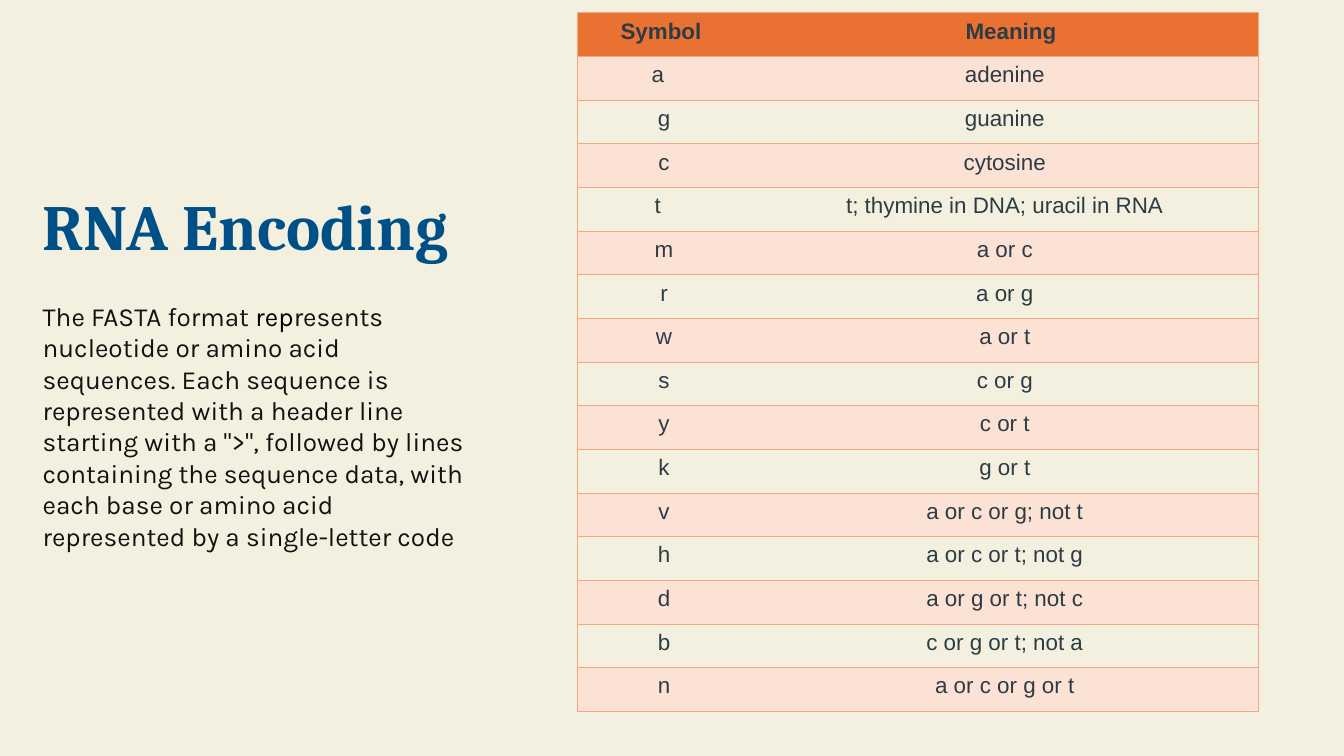
from typing import NamedTuple

from lxml import etree
from pptx import Presentation
from pptx import util as u
from pptx.dml.color import RGBColor
from pptx.enum import text
from pptx.oxml import ns

CREAM = RGBColor(0xF3, 0xF0, 0xDF)
BLUE = RGBColor(0x00, 0x50, 0x88)
INK = RGBColor(0x12, 0x12, 0x12)
BLACK = RGBColor(0x00, 0x00, 0x00)
SLATE = RGBColor(0x2D, 0x3B, 0x45)
ORANGE = RGBColor(0xE9, 0x71, 0x32)
PEACH = RGBColor(0xFB, 0xE2, 0xD5)
BORDER = RGBColor(0xF1, 0xA9, 0x83)

CELL_INSET = 0.72
SPACE_WIDTH = 3.33
ROW_HEIGHT = 20.9
COLUMN_WIDTHS = (92.9, 272.2)


class TextBlock(NamedTuple):
    top: float
    height: float
    pieces: tuple[tuple[str, RGBColor], ...]
    font: str
    size: float
    bold: bool
    anchor: text.MSO_ANCHOR
    line_spacing: float


class Code(NamedTuple):
    symbol: str
    meaning: str
    symbol_shift: float = 0
    meaning_shift: float = 0


BLOCKS = (
    TextBlock(19.8, 128.9, (("RNA Encoding", BLUE),), "Cambria", 34.5, True,
              text.MSO_ANCHOR.BOTTOM, 0.9),
    TextBlock(153.7, 143.3, (
        ("The FASTA format", INK),
        (" rep", BLACK),
        ("resents nucleotide or amino acid sequences. Each sequence is "
         "represented with a header line starting with a \">\", followed by "
         "lines containing the sequence data, with each base or amino acid "
         "represented by a single-letter code", INK),
    ), "Karla", 14, False, text.MSO_ANCHOR.TOP, 1.0),
)

CODES = (
    Code("Symbol", "Meaning", SPACE_WIDTH, 2 * SPACE_WIDTH),
    Code("a", "adenine", 2 * SPACE_WIDTH),
    Code("g", "guanine"),
    Code("c", "cytosine"),
    Code("t", "t; thymine in DNA; uracil in RNA", 2 * SPACE_WIDTH),
    Code("m", "a or c"),
    Code("r", "a or g"),
    Code("w", "a or t"),
    Code("s", "c or g"),
    Code("y", "c or t"),
    Code("k", "g or t"),
    Code("v", "a or c or g; not t"),
    Code("h", "a or c or t; not g"),
    Code("d", "a or g or t; not c"),
    Code("b", "c or g or t; not a"),
    Code("n", "a or c or g or t"),
)


def draw_text(slide, block: TextBlock) -> None:
    shape = slide.shapes.add_textbox(
        u.Pt(15.8), u.Pt(block.top), u.Pt(243.5), u.Pt(block.height))
    frame = shape.text_frame
    frame.word_wrap = True
    frame.vertical_anchor = block.anchor
    frame.margin_left = frame.margin_right = u.Pt(7.2)
    frame.margin_top = frame.margin_bottom = u.Pt(7.2)
    paragraph = frame.paragraphs[0]
    paragraph.line_spacing = block.line_spacing
    for words, color in block.pieces:
        run = paragraph.add_run()
        run.text = words
        run.font.name = block.font
        run.font.size = u.Pt(block.size)
        run.font.bold = block.bold
        run.font.color.rgb = color


def set_borders(cell, visible_sides: str) -> None:
    properties = cell._tc.get_or_add_tcPr()
    for side in "LRTB":
        line = etree.SubElement(properties, ns.qn(f"a:ln{side}"))
        if side in visible_sides:
            line.set("w", str(u.Pt(0.5)))
            fill = etree.SubElement(line, ns.qn("a:solidFill"))
            etree.SubElement(fill, ns.qn("a:srgbClr"), val=str(BORDER))
        else:
            line.set("w", "0")
            etree.SubElement(line, ns.qn("a:noFill"))


def fill_cell(cell, words: str, row: int, borders: str,
              left_extra: float, right_extra: float) -> None:
    set_borders(cell, borders)
    if row == 0 or row % 2:
        cell.fill.solid()
        cell.fill.fore_color.rgb = PEACH if row else ORANGE
    else:
        cell.fill.background()
    cell.vertical_anchor = text.MSO_ANCHOR.BOTTOM
    cell.margin_left = u.Pt(CELL_INSET + left_extra)
    cell.margin_right = u.Pt(CELL_INSET + right_extra)
    cell.margin_top = u.Pt(0)
    cell.margin_bottom = u.Pt(6.83)
    paragraph = cell.text_frame.paragraphs[0]
    paragraph.text = words
    paragraph.alignment = text.PP_ALIGN.CENTER
    paragraph.line_spacing = 1.15
    font = paragraph.runs[0].font
    font.name = "Arial"
    font.size = u.Pt(12)
    font.bold = row == 0
    font.color.rgb = SLATE


def draw_table(slide, codes: tuple[Code, ...]) -> None:
    table = slide.shapes.add_table(
        len(codes), len(COLUMN_WIDTHS), u.Pt(309.3), u.Pt(6.9),
        u.Pt(sum(COLUMN_WIDTHS)), u.Pt(ROW_HEIGHT * len(codes))).table
    table.horz_banding = False
    table.first_row = False
    for column, width in zip(table.columns, COLUMN_WIDTHS):
        column.width = u.Pt(width)
    for row, code in enumerate(codes):
        table.rows[row].height = u.Pt(ROW_HEIGHT)
        fill_cell(table.cell(row, 0), code.symbol, row, "LTB",
                  0, code.symbol_shift)
        fill_cell(table.cell(row, 1), code.meaning, row, "RTB",
                  code.meaning_shift, 0)


def main() -> None:
    presentation = Presentation()
    presentation.slide_width = u.Pt(720)
    presentation.slide_height = u.Pt(405)
    slide = presentation.slides.add_slide(presentation.slide_layouts[6])
    slide.background.fill.solid()
    slide.background.fill.fore_color.rgb = CREAM
    for block in BLOCKS:
        draw_text(slide, block)
    draw_table(slide, CODES)
    presentation.save("out.pptx")


if __name__ == "__main__":
    main()
